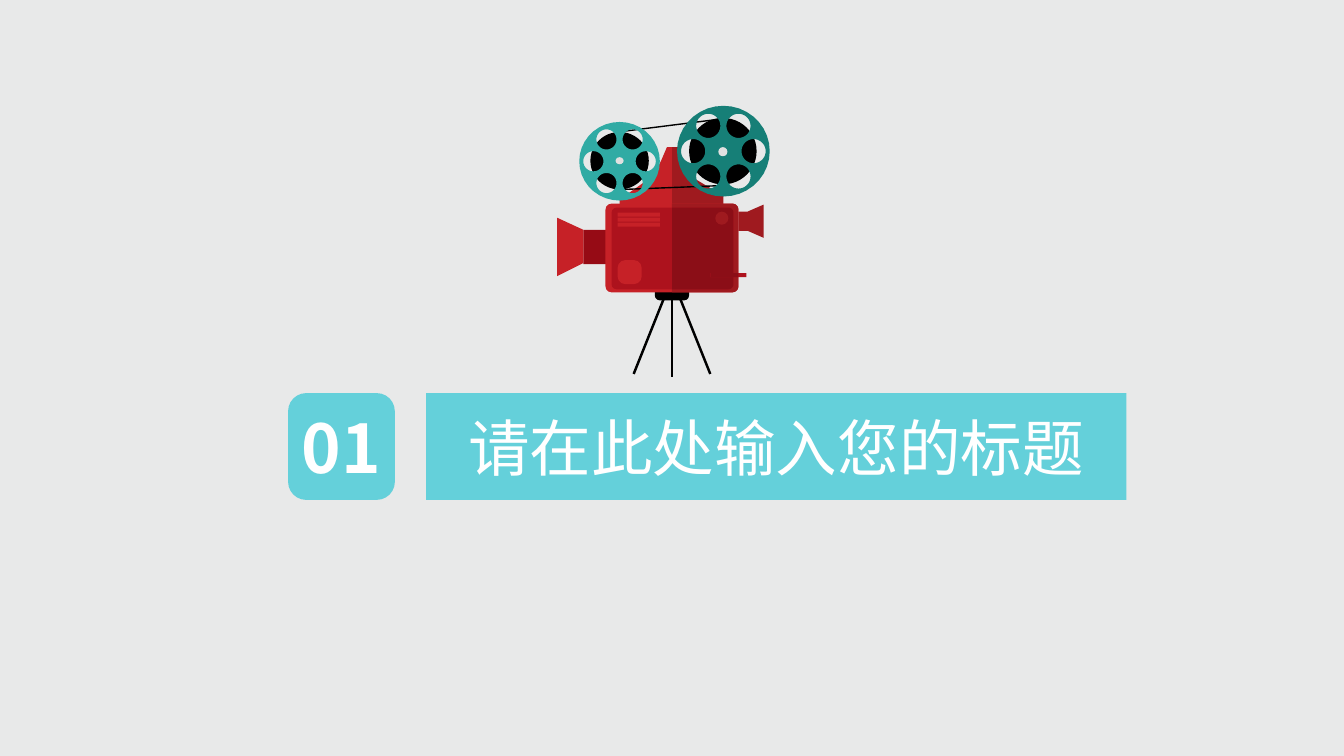
from dataclasses import dataclass
from math import cos, radians, sin

from lxml import etree
from pptx import Presentation
from pptx.dml.color import RGBColor
from pptx.enum import shapes, text
from pptx.oxml import ns
from pptx.util import Inches, Pt


@dataclass(frozen=True)
class Theme:
    font: str = "Noto Sans CJK SC"
    number_size: int = 48
    title_size: int = 44
    background: str = "E8E9E9"
    banner: str = "64D0DA"
    white: str = "FFFFFF"
    black: str = "000000"
    hub: str = "E0E0E0"
    red: str = "C62127"
    red_shade: str = "9F1A1F"
    panel: str = "AD121D"
    panel_shade: str = "8B0E17"
    lens: str = "960B15"
    reel_light: str = "30ABA4"
    reel_dark: str = "167F77"


THEME = Theme()
NUMBER = "01"
TITLE = "请在此处输入您的标题"
NUMBER_BOX = (2.86, 3.9, 1.06, 1.06)
TITLE_BOX = (4.23, 3.9, 6.95, 1.06)

AXIS = 6.67
BASE = (6.5, 2.83, 0.34, 0.15)
BODY = (6.01, 2.02, 1.32, 0.88, 0.06)
PANEL = (6.07, 2.06, 1.21, 0.81, 0.05)
BUTTON = (6.13, 2.58, 0.24, 0.24)
KNOB = (7.1, 2.1, 0.13, 0.13)
CRANK = (7.05, 2.71, 0.36, 0.04)
CRANK_SHADE = (7.05, 2.71, 0.28, 0.04)
VENT, VENT_STEP, VENT_COUNT = (6.13, 2.11, 0.42, 0.04), 0.05, 3
LENS_TUBE = (5.79, 2.28, 0.26, 0.34)
LENS_HOOD = [(5.79, 2.28), (5.53, 2.16), (5.53, 2.74), (5.79, 2.61)]
EYEPIECE = [(7.33, 2.1), (7.42, 2.1), (7.58, 2.03), (7.58, 2.36), (7.42, 2.29), (7.33, 2.29)]
CONE_LEFT = [(AXIS, 2.03), (6.15, 2.03), (6.15, 1.96), (6.25, 1.91), (6.42, 1.79),
             (6.5, 1.71), (6.56, 1.6), (6.62, 1.46), (AXIS, 1.46)]
CONE_RIGHT = [(AXIS, 1.46), (6.73, 1.46), (6.78, 1.59), (6.83, 1.7), (6.89, 1.77),
              (7.04, 1.86), (7.18, 1.94), (7.18, 2.03), (AXIS, 2.03)]
LEGS = [(6.59, 2.96, 6.29, 3.71), (AXIS, 2.93, AXIS, 3.74), (6.75, 2.96, 7.05, 3.71)]
FILM = [(6.13, 1.31, 7.16, 1.18), (6.17, 1.88, 7.2, 1.84)]
LEG_WIDTH, FILM_WIDTH = 1.75, 1
REELS = [
    dict(color=THEME.reel_light, center=(6.15, 1.6), radii=(0.4, 0.39), ring=(0.26, 0.25),
         hole=0.1, core=(5.86, 1.31, 0.58, 0.57), hub=(6.11, 1.56, 0.08, 0.07)),
    dict(color=THEME.reel_dark, center=(7.18, 1.5), radii=(0.46, 0.45), ring=(0.3, 0.29),
         hole=0.12, core=(6.84, 1.17, 0.67, 0.66), hub=(7.13, 1.46, 0.09, 0.09)),
]

prs = Presentation()
prs.slide_width, prs.slide_height = Inches(13.34), Inches(7.5)
slide = prs.slides.add_slide(prs.slide_layouts[5])
slide.background.fill.solid()
slide.background.fill.fore_color.rgb = RGBColor.from_string(THEME.background)


def paint(sp, color):
    sp.fill.solid()
    sp.fill.fore_color.rgb = RGBColor.from_string(color)
    sp.line.fill.background()
    return sp


def add_preset(kind, box, color, corner=None):
    sp = slide.shapes.add_shape(kind, *map(Inches, box))
    sp.shadow.inherit = False
    if corner is not None:
        sp.adjustments[0] = corner / min(box[2:])
    return paint(sp, color)


def add_rect(box, color):
    return add_preset(shapes.MSO_SHAPE.RECTANGLE, box, color)


def add_round(box, color, corner):
    return add_preset(shapes.MSO_SHAPE.ROUNDED_RECTANGLE, box, color, corner)


def add_oval(box, color):
    return add_preset(shapes.MSO_SHAPE.OVAL, box, color)


def add_outline(color, *contours):
    first, *rest = [[(Inches(x), Inches(y)) for x, y in c] for c in contours]
    builder = slide.shapes.build_freeform(*first[0], scale=1.0)
    builder.add_line_segments(first[1:], close=True)
    for contour in rest:
        builder.move_to(*contour[0])
        builder.add_line_segments(contour[1:], close=True)
    sp = builder.convert_to_shape()
    sp.shadow.inherit = False
    return paint(sp, color)


def add_line(ends, width):
    line = slide.shapes.add_connector(shapes.MSO_CONNECTOR.STRAIGHT, *map(Inches, ends))
    line.line.color.rgb = RGBColor.from_string(THEME.black)
    line.line.width = Pt(width)
    etree.SubElement(line._element.spPr, ns.qn("a:effectLst"))


def arc(cx, cy, rx, ry, start=0, end=360, step=10):
    return [(cx + rx * cos(radians(a)), cy + ry * sin(radians(a)))
            for a in range(start, end + 1, step)]


def right_half(x, y, w, h, r):
    right, bottom = x + w, y + h
    return [(AXIS, y), *arc(right - r, y + r, r, r, -90, 0),
            *arc(right - r, bottom - r, r, r, 0, 90), (AXIS, bottom)]


def add_reel(reel):
    cx, cy = reel["center"]
    holes = [arc(x, y, reel["hole"], reel["hole"])
             for x, y in arc(cx, cy, *reel["ring"], 0, 300, 60)]
    add_outline(reel["color"], arc(cx, cy, *reel["radii"]), *holes)
    add_oval(reel["hub"], THEME.hub)


def write(sp, content, size, bold, insets):
    tf = sp.text_frame
    tf.text = content
    tf.word_wrap = True
    tf.auto_size = text.MSO_AUTO_SIZE.NONE
    tf.vertical_anchor = text.MSO_ANCHOR.MIDDLE
    tf.margin_left = tf.margin_right = Inches(insets[0])
    tf.margin_top = tf.margin_bottom = Inches(insets[1])
    p = tf.paragraphs[0]
    p.alignment = text.PP_ALIGN.CENTER
    font = p.runs[0].font
    font.size, font.bold, font.name = Pt(size), bold, THEME.font
    font.color.rgb = RGBColor.from_string(THEME.white)
    etree.SubElement(font._element, ns.qn("a:ea"), typeface=THEME.font)


title = slide.shapes.title
title.left, title.top, title.width, title.height = map(Inches, TITLE_BOX)
geometry = etree.SubElement(title._element.spPr, ns.qn("a:prstGeom"), prst="roundRect")
etree.SubElement(geometry, ns.qn("a:avLst"))
paint(title, THEME.banner)
write(title, TITLE, THEME.title_size, False, (0.1, 0.05))
number = add_round(NUMBER_BOX, THEME.banner, 0.18)
write(number, NUMBER, THEME.number_size, True, (0, 0))

add_round(BASE, THEME.black, 0.05)
add_outline(THEME.red, CONE_LEFT)
add_outline(THEME.red_shade, CONE_RIGHT)
add_rect(LENS_TUBE, THEME.lens)
add_outline(THEME.red, LENS_HOOD)
add_outline(THEME.red_shade, EYEPIECE)
for part, color, shade in ((BODY, THEME.red, THEME.red_shade),
                           (PANEL, THEME.panel, THEME.panel_shade)):
    add_round(part[:4], color, part[4])
    add_outline(shade, right_half(*part))
add_round(BUTTON, THEME.red, 0.08)
add_oval(KNOB, THEME.red_shade)
add_rect(CRANK, THEME.panel)
add_rect(CRANK_SHADE, THEME.panel_shade)
for i in range(VENT_COUNT):
    x, y, w, h = VENT
    add_rect((x, y + i * VENT_STEP, w, h), THEME.red)
for leg in LEGS:
    add_line(leg, LEG_WIDTH)
for reel in REELS:
    add_oval(reel["core"], THEME.black)
for strand in FILM:
    add_line(strand, FILM_WIDTH)
for reel in REELS:
    add_reel(reel)

prs.save("out.pptx")
